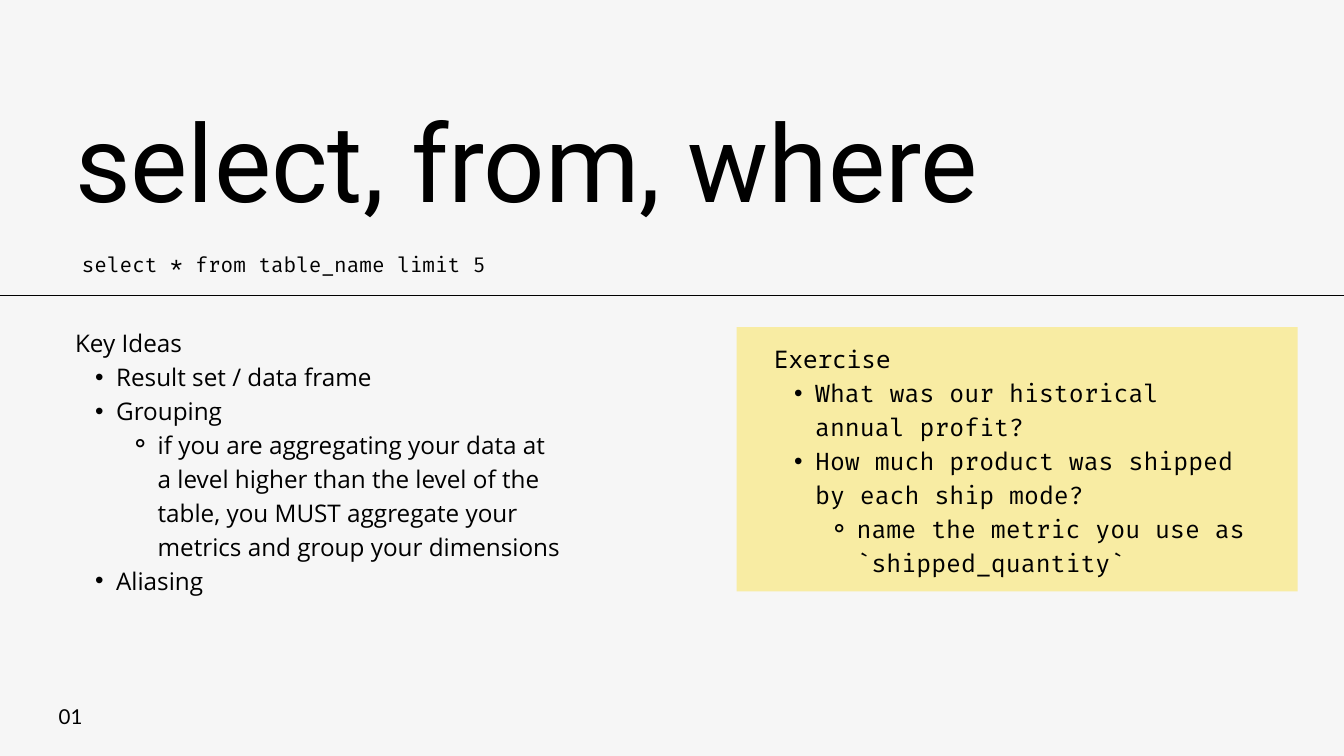
import pptx
import pptx.dml.color
import pptx.enum.shapes
import pptx.enum.text
import pptx.oxml.ns
import pptx.util
from lxml import etree
from pptx.util import Cm

BACKGROUND = pptx.dml.color.RGBColor(0xF6, 0xF6, 0xF6)
BLACK = pptx.dml.color.RGBColor(0x00, 0x00, 0x00)
YELLOW = pptx.dml.color.RGBColor(0xF8, 0xEC, 0xA3)

LEFT = pptx.enum.text.PP_ALIGN.LEFT
CENTER = pptx.enum.text.PP_ALIGN.CENTER

LINE_FACTOR = 1.4
BODY_SIZE = 26
# Level: bullet character, left margin, first-line indent
BULLETS = {
    1: ("•", Cm(1.55), Cm(-0.79)),
    2: ("⚬", Cm(3.12), Cm(-1.04)),
}

KEY_IDEAS = [
    (0, "Key Ideas", "Open Sans"),
    (1, "Result set / data frame", "Open Sans"),
    (1, "Grouping", "Open Sans"),
    (2, "if you are aggregating your data at a level higher than the level of the "
        "table, you MUST aggregate your metrics and group your dimensions", "Open Sans"),
    (1, "Aliasing", "Open Sans"),
]
EXERCISE = [
    (0, "Exercise", "Noto Sans Mono"),
    (1, "What was our historical annual profit?", "Fira Code"),
    (1, "How much product was shipped by each ship mode?", "Fira Code"),
    (2, "name the metric you use as `shipped_quantity`", "Fira Code"),
]


def place(shape, left, top, width, height):
    shape.left, shape.top = Cm(left), Cm(top)
    shape.width, shape.height = Cm(width), Cm(height)


def prepare_frame(shape):
    """Let the text wrap from the top left corner, without insets."""
    frame = shape.text_frame
    frame.word_wrap = True
    frame.auto_size = pptx.enum.text.MSO_AUTO_SIZE.NONE
    frame.vertical_anchor = pptx.enum.text.MSO_ANCHOR.TOP
    frame.margin_left = frame.margin_top = frame.margin_right = frame.margin_bottom = 0
    return frame


def write_paragraph(paragraph, text, font_name, size, alignment=LEFT, line_factor=LINE_FACTOR):
    paragraph.alignment = alignment
    paragraph.line_spacing = pptx.util.Pt(round(size * line_factor, 1))
    run = paragraph.add_run()
    run.text = text
    run.font.name = font_name
    run.font.size = pptx.util.Pt(size)
    run.font.color.rgb = BLACK


def add_bullet(paragraph, level):
    character, margin, indent = BULLETS[level]
    paragraph.level = level
    properties = paragraph._p.get_or_add_pPr()
    properties.set("marL", str(margin))
    properties.set("indent", str(indent))
    font = etree.SubElement(properties, pptx.oxml.ns.qn("a:buFont"))
    font.set("typeface", "Arial")
    bullet = etree.SubElement(properties, pptx.oxml.ns.qn("a:buChar"))
    bullet.set("char", character)


def add_title(slide, text):
    title = slide.shapes.title
    place(title, 2.84, 3.2, 37.97, 5.16)
    paragraph = prepare_frame(title).paragraphs[0]
    write_paragraph(paragraph, text, "Roboto", 115.6, line_factor=1.29)


def add_label(slide, box, text, font_name):
    label = slide.shapes.add_textbox(*map(Cm, box))
    paragraph = prepare_frame(label).paragraphs[0]
    write_paragraph(paragraph, text, font_name, 22, CENTER)


def add_outline(slide, box, items):
    """Add a heading with its bulleted list, from (level, text, font) items."""
    frame = prepare_frame(slide.shapes.add_textbox(*map(Cm, box)))
    for index, (level, text, font_name) in enumerate(items):
        paragraph = frame.add_paragraph() if index else frame.paragraphs[0]
        write_paragraph(paragraph, text, font_name, BODY_SIZE)
        if level:
            add_bullet(paragraph, level)


def add_divider(slide, top, width):
    divider = slide.shapes.add_connector(
        pptx.enum.shapes.MSO_CONNECTOR.STRAIGHT, 0, top, width, top)
    divider.line.color.rgb = BLACK
    divider.line.width = pptx.util.Pt(0.75)
    etree.SubElement(divider._element.spPr, pptx.oxml.ns.qn("a:effectLst"))


def add_panel(slide, box, color):
    panel = slide.shapes.add_shape(
        pptx.enum.shapes.MSO_SHAPE.RECTANGLE, *map(Cm, box))
    panel.shadow.inherit = False
    panel.fill.solid()
    panel.fill.fore_color.rgb = color
    panel.line.fill.background()


def main():
    presentation = pptx.Presentation()
    presentation.slide_width = Cm(50.8)
    presentation.slide_height = Cm(28.575)
    title_only = presentation.slide_layouts[5]
    slide = presentation.slides.add_slide(title_only)
    slide.background.fill.solid()
    slide.background.fill.fore_color.rgb = BACKGROUND

    add_title(slide, "select, from, where")
    add_divider(slide, Cm(11.15), presentation.slide_width)
    add_outline(slide, (2.84, 12.22, 18.39, 10.13), KEY_IDEAS)
    add_label(slide, (1.96, 26.44, 1.42, 1.07), "01", "Lato")
    add_label(slide, (2.84, 9.37, 15.77, 1.09),
              "select * from table_name limit 5", "Fira Code")
    add_panel(slide, (27.84, 12.37, 21.21, 9.98), YELLOW)
    add_outline(slide, (29.26, 12.83, 18.39, 8.84), EXERCISE)

    presentation.save("out.pptx")


if __name__ == "__main__":
    main()
